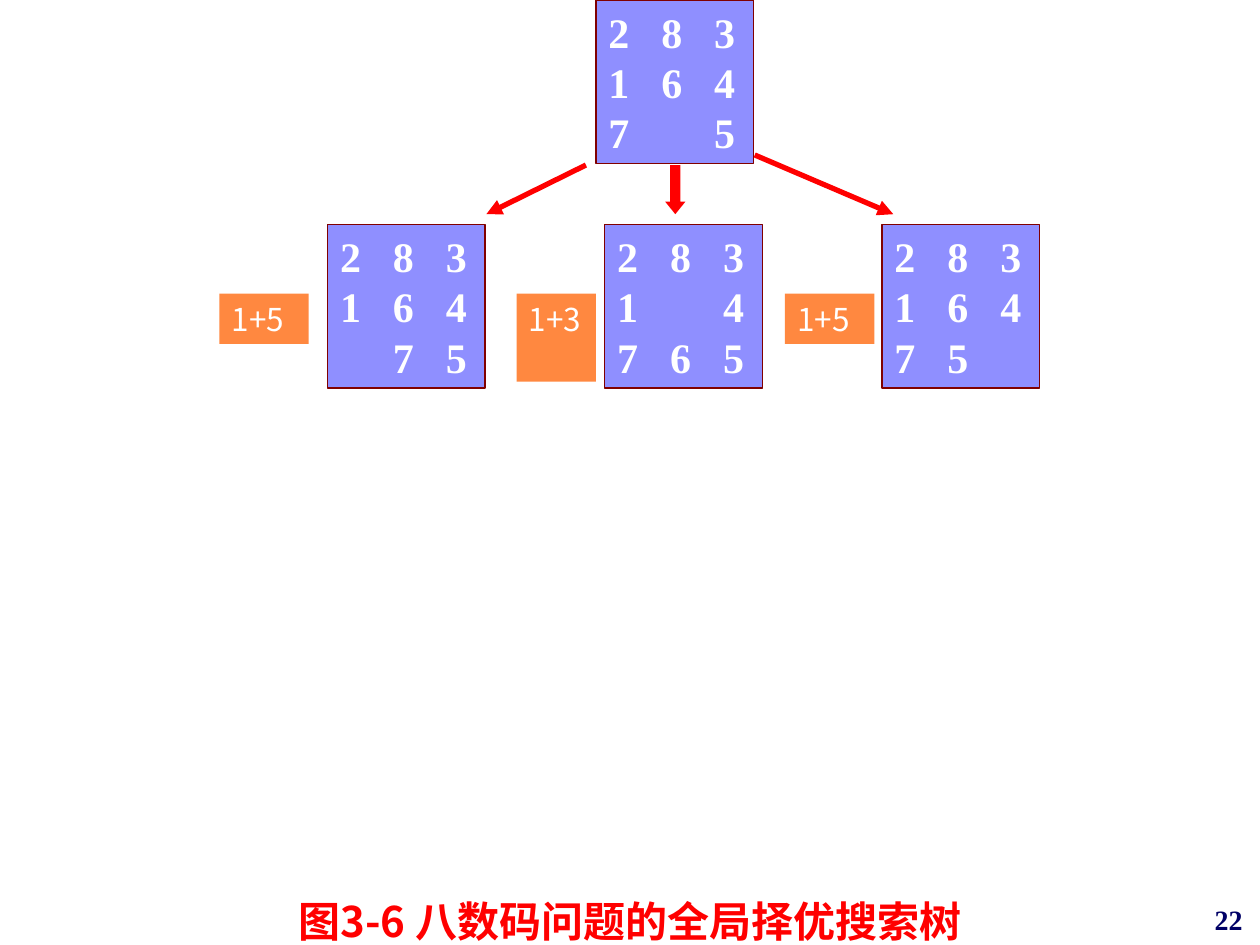
from lxml import etree
from pptx import Presentation
from pptx.dml.color import RGBColor
from pptx.enum.shapes import MSO_CONNECTOR, MSO_SHAPE
from pptx.enum.text import MSO_ANCHOR, MSO_AUTO_SIZE, PP_ALIGN
from pptx.oxml.ns import qn
from pptx.util import Inches, Pt

RECTANGLE, DOWN_ARROW = MSO_SHAPE.RECTANGLE, MSO_SHAPE.DOWN_ARROW
STRAIGHT = MSO_CONNECTOR.STRAIGHT
LEFT, CENTER, RIGHT = PP_ALIGN.LEFT, PP_ALIGN.CENTER, PP_ALIGN.RIGHT
TOP, NO_AUTOFIT = MSO_ANCHOR.TOP, MSO_AUTO_SIZE.NONE

SERIF, SANS = "Times New Roman", "Noto Sans CJK SC"
WHITE, RED, NAVY, MAROON = "FFFFFF", "FF0000", "000066", "800000"
VIOLET, ORANGE = "8F8FFF", "FF8840"

BOARD_WIDTH, BOARD_HEIGHT = 1.25, 1.3
COLUMN_PITCH = 0.42
CHILD_LEFT, CHILD_TOP, CHILD_PITCH = 2.6, 1.78, 2.2
LABEL_TOP = 2.33


def color(hex_code):
    return RGBColor.from_string(hex_code)


class TreeSlide:
    """Holds the slide of the search tree and the style of its parts."""

    def __init__(self, slide):
        self.slide = slide

    def prepare(self, frame):
        frame.word_wrap = True
        frame.auto_size = NO_AUTOFIT
        frame.vertical_anchor = TOP
        frame.margin_left = frame.margin_right = Inches(0.1)
        frame.margin_top = frame.margin_bottom = Inches(0.05)

    def add_text(self, paragraph, text, size, font, hex_code, bold=False, align=LEFT):
        paragraph.alignment = align
        run = paragraph.add_run()
        run.text = text
        run.font.size = Pt(size)
        run.font.bold = bold
        run.font.color.rgb = color(hex_code)
        run.font.name = font
        east_asian = etree.SubElement(run._r.get_or_add_rPr(), qn("a:ea"))
        east_asian.set("typeface", font)

    def block(self, kind, left, top, width, height, fill, line=None):
        shape = self.slide.shapes.add_shape(
            kind, Inches(left), Inches(top), Inches(width), Inches(height))
        shape.shadow.inherit = False
        shape.fill.solid()
        shape.fill.fore_color.rgb = color(fill)
        if line:
            shape.line.color.rgb = color(line)
            shape.line.width = Pt(0.75)
        else:
            shape.line.fill.background()
        return shape

    def board(self, left, top, rows):
        """Draw a puzzle state; a space in a row is the empty square."""
        frame = self.block(RECTANGLE, left, top, BOARD_WIDTH, BOARD_HEIGHT,
                           VIOLET, MAROON).text_frame
        self.prepare(frame)
        for index, row in enumerate(rows):
            paragraph = frame.add_paragraph() if index else frame.paragraphs[0]
            paragraph.line_spacing = Pt(28.8)
            tabs = etree.SubElement(paragraph._p.get_or_add_pPr(), qn("a:tabLst"))
            for column in (1, 2):
                etree.SubElement(tabs, qn("a:tab"), algn="l",
                                 pos=str(Inches(column * COLUMN_PITCH)))
            text = "\t".join(tile.strip() for tile in row).rstrip()
            self.add_text(paragraph, text, 24, SERIF, WHITE, bold=True)

    def cost_label(self, left, width, height, text):
        frame = self.block(RECTANGLE, left, LABEL_TOP, width, height, ORANGE).text_frame
        self.prepare(frame)
        self.add_text(frame.paragraphs[0], text, 18, SANS, WHITE)

    def arrow(self, start, end):
        connector = self.slide.shapes.add_connector(
            STRAIGHT, *(Inches(value) for value in (*start, *end)))
        connector.line.color.rgb = color(RED)
        connector.line.width = Pt(3)
        properties = connector._element.spPr
        etree.SubElement(properties.find(qn("a:ln")), qn("a:tailEnd"), type="triangle")
        etree.SubElement(properties, qn("a:effectLst"))

    def block_arrow(self, left, top, width, height):
        arrow = self.block(DOWN_ARROW, left, top, width, height, RED)
        arrow.adjustments[0] = 0.5
        arrow.adjustments[1] = 0.62

    def page_number(self, text):
        box = self.slide.shapes.add_textbox(
            Inches(7.88), Inches(7.11), Inches(2.08), Inches(0.39))
        self.prepare(box.text_frame)
        self.add_text(box.text_frame.paragraphs[0], text, 16, SERIF, NAVY, True, RIGHT)

    def caption(self, text):
        title = self.slide.shapes.title
        title.left, title.top = Inches(1.86), Inches(7.06)
        title.width, title.height = Inches(6.28), Inches(0.46)
        self.prepare(title.text_frame)
        self.add_text(title.text_frame.paragraphs[0], text, 24, SANS, RED, True, CENTER)


def main():
    presentation = Presentation()
    presentation.slide_width, presentation.slide_height = Inches(10), Inches(7.5)
    tree = TreeSlide(presentation.slides.add_slide(presentation.slide_layouts[5]))

    tree.board(4.73, 0, ("283", "164", "7 5"))
    children = (("283", "164", " 75"), ("283", "1 4", "765"), ("283", "164", "75 "))
    for index, rows in enumerate(children):
        tree.board(CHILD_LEFT + index * CHILD_PITCH, CHILD_TOP, rows)

    tree.block_arrow(5.28, 1.31, 0.16, 0.39)
    tree.arrow((4.65, 1.31), (3.86, 1.7))
    tree.arrow((5.99, 1.23), (7.09, 1.7))

    tree.cost_label(1.74, 0.71, 0.4, "1+5")
    tree.cost_label(4.1, 0.63, 0.7, "1+3")
    tree.cost_label(6.23, 0.71, 0.4, "1+5")

    tree.page_number("22")
    tree.caption("图3-6 八数码问题的全局择优搜索树")
    presentation.save("out.pptx")


if __name__ == "__main__":
    main()
